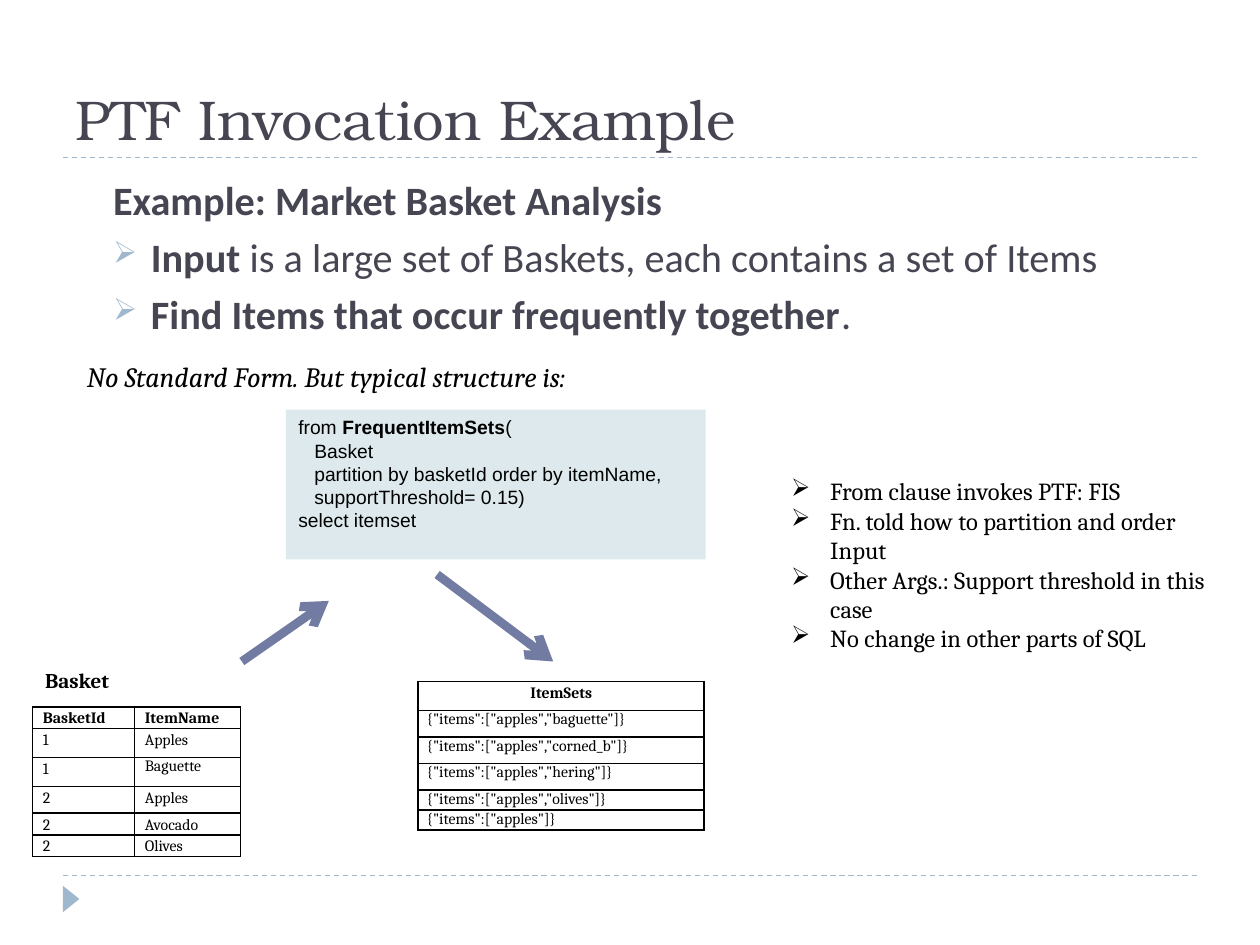
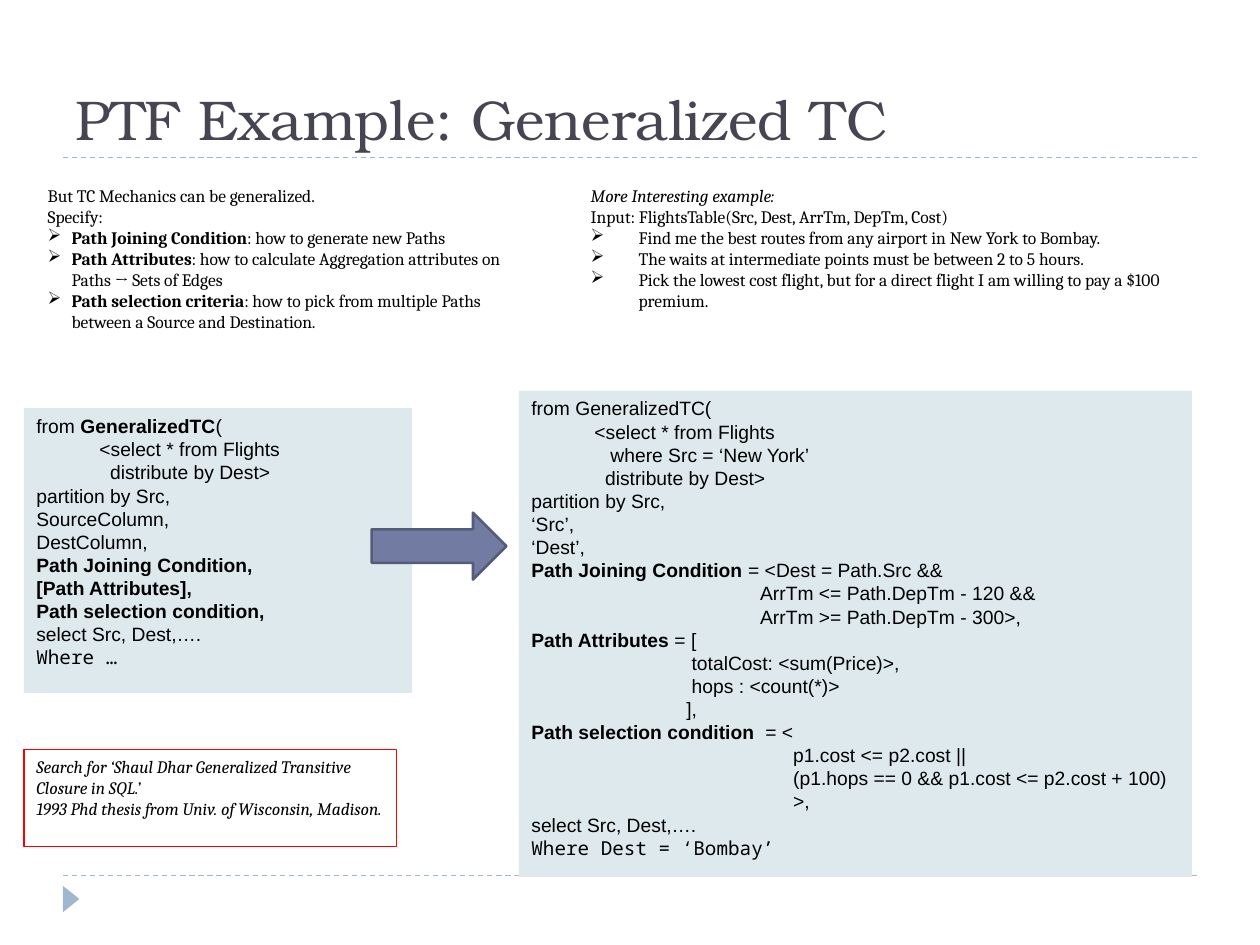
from lxml import etree
from pptx import Presentation
from pptx.dml.color import RGBColor
from pptx.enum.dml import MSO_LINE
from pptx.enum.shapes import MSO_CONNECTOR, MSO_SHAPE
from pptx.enum.text import MSO_ANCHOR, PP_ALIGN
from pptx.oxml.ns import qn
from pptx.util import Pt

RECT = MSO_SHAPE.RECTANGLE
TRIANGLE = MSO_SHAPE.ISOSCELES_TRIANGLE
RIGHT_ARROW = MSO_SHAPE.RIGHT_ARROW
STRAIGHT = MSO_CONNECTOR.STRAIGHT
DASH = MSO_LINE.DASH
TOP, BOTTOM = MSO_ANCHOR.TOP, MSO_ANCHOR.BOTTOM
LEFT, CENTER = PP_ALIGN.LEFT, PP_ALIGN.CENTER

COLORS = {"title": "464653", "accent": "9FB8CD", "arrow": "727CA3", "edge": "545C79",
          "code": "DDE9EC", "black": "000000", "white": "FFFFFF", "red": "FF0000"}
TITLE, BODY, SERIF, CODE, MONO = ("TeX Gyre Bonum", "Calibri", "Cambria", "Arial",
                                  "Noto Sans Mono")


def rgb(name):
    return RGBColor.from_string(COLORS[name])


def bullet(text):
    return text, {"bullet": True}


class Deck:
    def __init__(self):
        self.prs = Presentation()
        self.prs.slide_width, self.prs.slide_height = Pt(720), Pt(540)
        self.s = None

    def slide(self, title):
        """Start a slide with the shared rules, corner mark and title."""
        self.s = self.prs.slides.add_slide(self.prs.slide_layouts[6])
        for y in (500.4, 90):
            self.line((36, y), (684, y), "accent", 0.75).line.dash_style = DASH
        self.shape(TRIANGLE, (33.1, 509, 15.1, 9.4), "accent").rotation = 90
        self.text((36, 18, 648, 72), [title], 32, TITLE, "title", anchor=BOTTOM)

    def line(self, start, end, color, width, arrow=False):
        c = self.s.shapes.add_connector(STRAIGHT, *map(Pt, start + end))
        c.line.color.rgb, c.line.width = rgb(color), Pt(width)
        if arrow:
            etree.SubElement(c.line._get_or_add_ln(), qn("a:tailEnd"), type="arrow")
        etree.SubElement(c._element.spPr, qn("a:effectLst"))
        return c

    def shape(self, kind, box, fill=None, edge=None, width=0.75):
        sp = self.s.shapes.add_shape(kind, *map(Pt, box))
        sp.shadow.inherit = False
        if fill:
            sp.fill.solid()
            sp.fill.fore_color.rgb = rgb(fill)
        else:
            sp.fill.background()
        if edge:
            sp.line.color.rgb, sp.line.width = rgb(edge), Pt(width)
        else:
            sp.line.fill.background()
        return sp

    def text(self, box, paras, size, font=SERIF, color="black", sp=None, inset=3.6,
             anchor=TOP, **style):
        """Fill sp, or a new text box, with paragraphs."""
        sp = sp or self.s.shapes.add_textbox(*map(Pt, box))
        tf = sp.text_frame
        tf.word_wrap, tf.vertical_anchor = True, anchor
        tf.margin_left = tf.margin_right = Pt(7.2)
        tf.margin_top = tf.margin_bottom = Pt(inset)
        for i, para in enumerate(paras):
            text, own = (para, {}) if isinstance(para, str) else para
            p = tf.add_paragraph() if i else tf.paragraphs[0]
            look = {"size": size, "font": font, "color": color, **style, **own}
            if not i:
                look["before"] = 0
            self.para(p, text, **look)

    def para(self, p, text, size, font=SERIF, color="black", bullet=False, hang=0,
             margin=0, mark=None, italic=False, bold=False, before=0, spacing=None,
             align=LEFT):
        """Write one paragraph; **text** switches bold on and off."""
        pPr = p._p.get_or_add_pPr()
        pPr.set("marL", str(Pt(margin + hang if bullet else margin)))
        pPr.set("indent", str(Pt(-hang if bullet else 0)))
        if bullet:
            if mark:
                clr = etree.SubElement(pPr, qn("a:buClr"))
                etree.SubElement(clr, qn("a:srgbClr"), val=COLORS[mark])
                etree.SubElement(pPr, qn("a:buSzPct"), val="76000")
            etree.SubElement(pPr, qn("a:buChar"), char="➢")
        p.alignment, p.space_before = align, Pt(before)
        if spacing:
            p.line_spacing = spacing
        for i, part in enumerate(text.split("**")):
            if part:
                r = p.add_run()
                r.text = part
                r.font.name, r.font.size = font, Pt(size)
                r.font.bold, r.font.italic = bold or i % 2 == 1, italic
                r.font.color.rgb = rgb(color)

    def code(self, box, lines):
        self.text(box, lines, 11, CODE, sp=self.shape(RECT, box, "code"))

    def table(self, at, widths, heights, rows, pad, head_align=LEFT, single=()):
        """Bordered table; cells named in single keep single line spacing."""
        frame = self.s.shapes.add_table(len(rows), len(widths), *map(
            Pt, at + (sum(widths), sum(heights))))
        tbl = frame.table
        tbl.first_row = tbl.horz_banding = False
        for col, w in zip(tbl.columns, widths):
            col.width = Pt(w)
        for i, (row, h) in enumerate(zip(rows, heights)):
            tbl.rows[i].height = Pt(h)
            for j, text in enumerate(row):
                cell = tbl.cell(i, j)
                cell.margin_left = cell.margin_right = Pt(pad)
                cell.margin_top = cell.margin_bottom = 0
                self.border(cell)
                cell.fill.background()
                self.para(cell.text_frame.paragraphs[0], text, 9, bold=i == 0,
                          spacing=None if text in single else 1.15,
                          align=LEFT if i else head_align)

    def border(self, cell):
        tcPr = cell._tc.get_or_add_tcPr()
        for side in ("lnL", "lnR", "lnT", "lnB"):
            ln = etree.SubElement(tcPr, qn("a:" + side), w=str(Pt(1)))
            fill = etree.SubElement(ln, qn("a:solidFill"))
            etree.SubElement(fill, qn("a:srgbClr"), val=COLORS["black"])


def invocation_slide(d):
    d.slide("PTF Invocation Example")
    d.text((36, 96.5, 648, 98.6), [
        "**Example: Market Basket Analysis**",
        bullet("**Input** is a large set of Baskets, each contains a set of Items"),
        bullet("**Find Items that occur frequently together**."),
    ], 23, BODY, "title", margin=21.6, hang=21.6, mark="accent", before=5)

    # Query
    d.code((163.4, 234, 239.8, 85.7), [
        "from **FrequentItemSets**(",
        "   Basket",
        "   partition by basketId order by itemName,",
        "   supportThreshold= 0.15)",
        "select itemset",
    ])
    d.text((42.5, 198, 360.7, 33.8), ["No Standard Form. But typical structure is:"],
           16, inset=7.2, italic=True)

    # Input and output tables
    d.table((18.7, 403.9), (58.3, 60.5), (12.2, 16.6, 16.6, 15.1, 12.2, 12.2), [
        ("BasketId", "ItemName"), ("1", "Apples"), ("1", "Baguette"),
        ("2", "Apples"), ("2", "Avocado"), ("2", "Olives"),
    ], 5.8, single=("Baguette",))
    label = (18.7, 378, 74.2, 23.8)
    d.text(label, ["Basket"], 12, sp=d.shape(RECT, label, "white"), bold=True)
    extras = ',"baguette"', ',"corned_b"', ',"hering"', ',"olives"', ""
    itemsets = [f'{{"items":["apples"{extra}]}}' for extra in extras]
    d.table((239, 389.5), (163.4,), (16.6, 15.1, 15.1, 15.1, 11.5, 11.5),
            [("ItemSets",)] + [(item,) for item in itemsets], 5, CENTER, itemsets)
    d.line((138.2, 378), (187.9, 343.4), "arrow", 5, arrow=True)
    d.line((249.8, 328.3), (316.1, 378), "arrow", 5, arrow=True)

    # Remarks
    d.text((445, 268.6, 252.7, 108.7), [
        bullet("From clause invokes PTF: FIS"),
        bullet("Fn. told how to partition and order Input"),
        bullet("Other Args.: Support threshold in this case"),
        bullet("No change in other parts of SQL"),
    ], 14, hang=22.3)


def generalized_slide(d):
    d.slide("PTF Example: Generalized TC")

    # What to specify
    d.text((20.2, 98.6, 276.5, 123.8), [
        "But TC Mechanics can be generalized.",
        "Specify:",
        bullet("**Path Joining Condition**: how to generate new Paths"),
        bullet("**Path Attributes**: how to calculate Aggregation attributes on "
               "Paths → Sets of Edges"),
        bullet("**Path selection criteria**: how to pick from multiple Paths "
               "between a Source and Destination."),
    ], 10, inset=7.2, hang=13.7)

    # General form and worked query
    d.code((13.7, 233.3, 221.8, 162.7), [
        "from **GeneralizedTC**(",
        "\t<select * from Flights",
        "\t  distribute by Dest>",
        "partition by Src,",
        "SourceColumn,",
        "DestColumn,",
        "**Path Joining Condition,**",
        "**[Path Attributes],**",
        "**Path selection condition,**",
        "select Src, Dest,….",
        ("Where …", {"font": MONO}),
    ])
    d.code((296.6, 223.2, 384.5, 277.9), [
        "from GeneralizedTC(",
        "\t<select * from Flights",
        "\t   where Src = ‘New York’",
        "\t  distribute by Dest>",
        "partition by Src,",
        "‘Src’,",
        "‘Dest’,",
        "**Path Joining Condition **= <Dest = Path.Src &&",
        " " * 43 + "ArrTm <= Path.DepTm - 120 &&",
        " " * 43 + "ArrTm >= Path.DepTm - 300>,",
        "**Path Attributes **= [",
        " " * 30 + "totalCost: <sum(Price)>,",
        " " * 30 + "hops : <count(*)>",
        " " * 29 + "],",
        "**Path selection condition  **= <",
        " " * 49 + "p1.cost <= p2.cost ||",
        " " * 49 + "(p1.hops == 0 && p1.cost <= p2.cost + 100)",
        " " * 49 + ">,",
        "select Src, Dest,….",
        ("Where Dest = ‘Bombay’", {"font": MONO}),
    ])
    d.shape(RIGHT_ARROW, (212.4, 293, 77, 38.2), "arrow", "edge", 1.5)

    # Example task
    d.text((330.5, 98.6, 345.6, 87.1), [
        ("More Interesting example:", {"italic": True}),
        "Input: FlightsTable(Src, Dest, ArrTm, DepTm, Cost)",
        bullet("Find me the best routes from any airport in New York to Bombay."),
        bullet("The waits at intermediate points must be between 2 to 5 hours."),
        bullet("Pick the lowest cost flight, but for a direct flight I am willing "
               "to pay a $100 premium."),
    ], 10, inset=7.2, hang=27.4)

    # Reference
    cite = (13.7, 428.4, 213.1, 55.4)
    d.text(cite, [
        "Search for ‘Shaul Dhar Generalized Transitive Closure in SQL.’",
        "1993 Phd thesis from Univ. of Wisconsin, Madison.",
    ], 10, sp=d.shape(RECT, cite, edge="red"), italic=True)


def main():
    d = Deck()
    invocation_slide(d)
    generalized_slide(d)
    d.prs.save("out.pptx")


if __name__ == "__main__":
    main()
